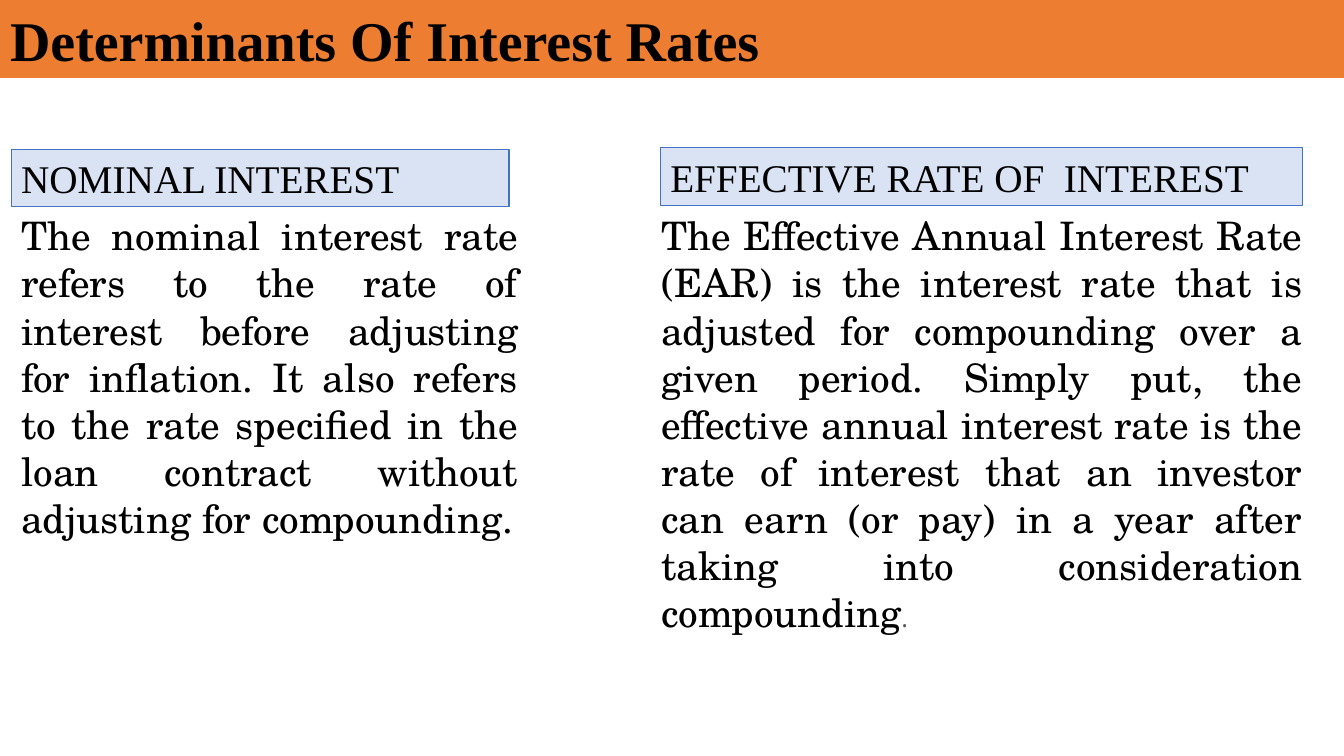
import pptx
import pptx.util
import pptx.dml.color
import pptx.enum.text
import pptx.oxml

Pt = pptx.util.Pt
ALIGN = pptx.enum.text.PP_ALIGN
ANCHOR = pptx.enum.text.MSO_ANCHOR

HUES = {"bar": "ED7D31", "head": "DAE3F3", "edge": "4472C4",
        "ink": "000000", "dot": "57595D"}
SERIF, SCHOOL, SANS = "Times New Roman", "TeX Gyre Schola", "Open Sans"
WIDE, HIGH = 960, 540
TOP = 147.6

TITLE = "Determinants Of Interest Rates"
SIDES = [
    {"head": "NOMINAL INTEREST", "head_box": (7.92, 106.5, 355.7, 41),
     "text": "The nominal interest rate refers to the rate of interest before "
             "adjusting for inflation. It also refers to the rate specified in "
             "the loan contract without adjusting for compounding.",
     "dot": "", "text_box": (7.92, TOP, 369.4, 244.8)},
    {"head": "EFFECTIVE RATE OF  INTEREST", "head_box": (471.6, 105.5, 458.6, 41),
     "text": "The Effective Annual Interest Rate (EAR) is the interest rate that "
             "is adjusted for compounding over a given period. Simply put, the "
             "effective annual interest rate is the rate of interest that an "
             "investor can earn (or pay) in a year after taking into "
             "consideration compounding",
     "dot": ".", "text_box": (465.1, TOP, 472.3, 278.6)},
]


def hue(key):
    return pptx.dml.color.RGBColor.from_string(HUES[key])


def style(font, name, size, key, bold=False):
    font.name, font.size, font.bold = name, Pt(size), bold
    font.color.rgb = hue(key)


def place(shape, box, text, anchor, align):
    shape.left, shape.top, shape.width, shape.height = map(Pt, box)
    frame = shape.text_frame
    frame.word_wrap = True
    frame.auto_size = pptx.enum.text.MSO_AUTO_SIZE.NONE
    frame.vertical_anchor = anchor
    para = frame.paragraphs[0]
    para.add_run().text = text
    para.alignment = align
    para.space_before = Pt(0)
    props = para._p.get_or_add_pPr()
    props.set("marL", "0")
    props.set("indent", "0")
    props.append(pptx.oxml.parse_xml(
        '<a:buNone xmlns:a="http://schemas.openxmlformats.org/drawingml/2006/main"/>'))
    return para


def paint(shape, key):
    shape.fill.solid()
    shape.fill.fore_color.rgb = hue(key)


def main():
    deck = pptx.Presentation()
    deck.slide_width, deck.slide_height = Pt(WIDE), Pt(HIGH)
    slide = deck.slides.add_slide(deck.slide_layouts.get_by_name("Comparison"))
    slots = slide.placeholders

    title = slide.shapes.title
    para = place(title, (0, 0, WIDE, 55.7), TITLE, ANCHOR.MIDDLE, ALIGN.LEFT)
    style(para.font, SERIF, 40, "ink", True)
    paint(title, "bar")

    for num, side in enumerate(SIDES):
        head, body = slots[2 * num + 1], slots[2 * num + 2]
        para = place(head, side["head_box"], side["head"], ANCHOR.MIDDLE, ALIGN.LEFT)
        style(para.font, SERIF, 28, "ink")
        paint(head, "head")
        head.line.color.rgb = hue("edge")
        head.line.width = Pt(0.75)

        para = place(body, side["text_box"], side["text"], ANCHOR.TOP, ALIGN.JUSTIFY)
        if side["dot"]:
            style(para.runs[0].font, SCHOOL, 28, "ink")
            dot = para.add_run()
            dot.text = side["dot"]
            style(dot.font, SANS, 18, "dot")
        else:
            style(para.font, SCHOOL, 28, "ink")

    deck.save("out.pptx")


if __name__ == "__main__":
    main()
